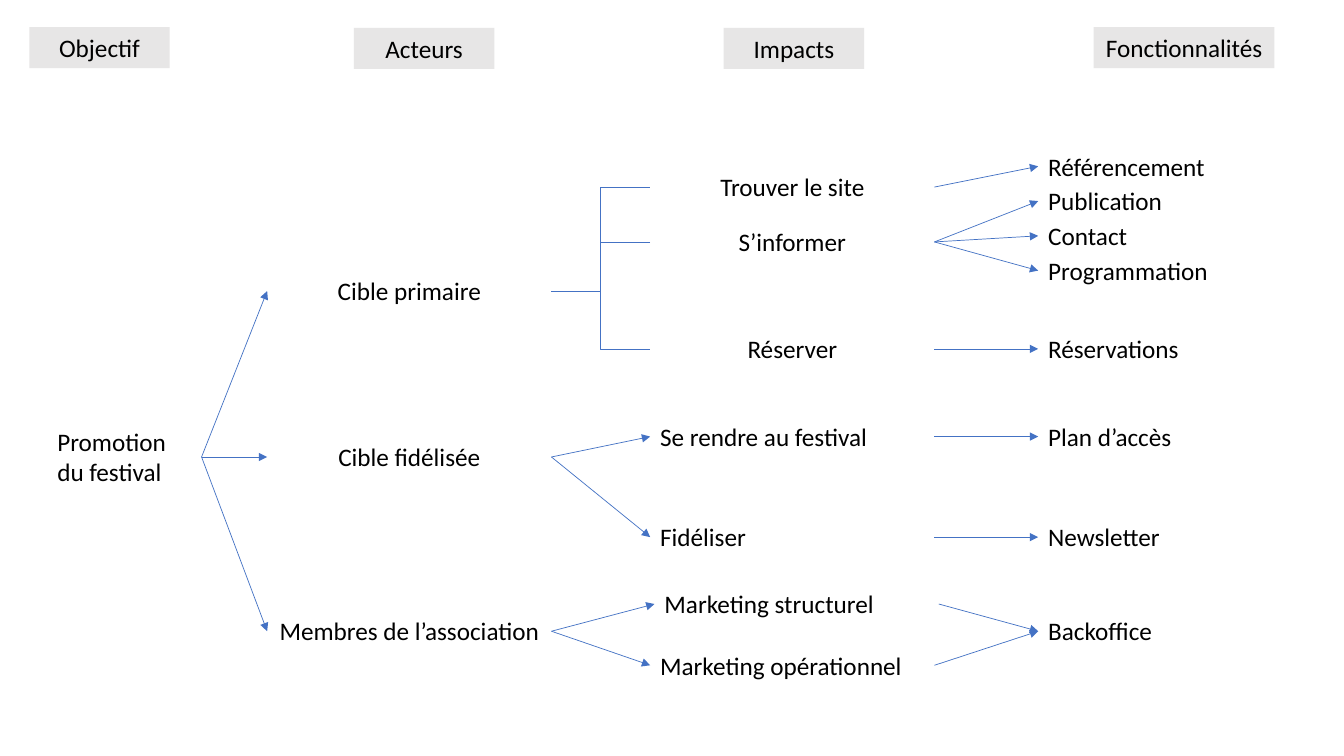
"""Build the impact map of a festival website: goal, actors, impacts, features."""
import dataclasses
import itertools

import pptx
import pptx.dml.color
import pptx.enum.shapes
import pptx.enum.text
import pptx.oxml
import pptx.oxml.ns
import pptx.util

BLACK = pptx.dml.color.RGBColor(0x00, 0x00, 0x00)
GREY = pptx.dml.color.RGBColor(0xE7, 0xE6, 0xE6)
BLUE = pptx.dml.color.RGBColor(0x44, 0x72, 0xC4)
WIDE, HIGH = pptx.util.Inches(13.333), pptx.util.Inches(7.5)
ALIGN = pptx.enum.text.PP_ALIGN
KIND = pptx.enum.shapes.MSO_CONNECTOR
LEFT, RIGHT = 1, 3


@dataclasses.dataclass(frozen=True)
class Column:
    """Left edge and width, in percent of the slide's width."""
    left: float
    width: float = 21.15


@dataclasses.dataclass(frozen=True)
class Node:
    """One label: its column, and its middle and height in percent of the slide's height."""
    text: str
    column: Column
    middle: float
    align: ALIGN = ALIGN.LEFT
    height: float = 5.4
    fill: pptx.dml.color.RGBColor | None = None


@dataclasses.dataclass(frozen=True)
class Link:
    """Lines from one label to several others."""
    source: str
    targets: tuple[str, ...]
    kind: KIND = KIND.STRAIGHT
    arrow: bool = True


GOAL, ACTOR, IMPACT, FEATURE = Column(3.53, 11.47), Column(19.88), Column(48.38), Column(77.25)
SHIFTED = Column(48.7)
MID = ALIGN.CENTER
HEADS = [
    Node("Objectif", Column(2.18, 10.45), 6.3, MID, fill=GREY),
    Node("Acteurs", Column(26.33, 10.45), 6.4, MID, fill=GREY),
    Node("Impacts", Column(53.85, 10.45), 6.4, MID, fill=GREY),
    Node("Fonctionnalités", Column(81.38, 13.45), 6.3, MID, fill=GREY),
]
TOPICS = ("Référencement", "Publication", "Contact", "Programmation")
NODES = [Node(text, FEATURE, 22 + 4.6 * row) for row, text in enumerate(TOPICS)] + [
    Node("Réservations", FEATURE, 46.15),
    Node("Plan d’accès", FEATURE, 57.75),
    Node("Newsletter", FEATURE, 71.05),
    Node("Backoffice", FEATURE, 83.5),
    Node("Trouver le site", IMPACT, 24.75, MID),
    Node("S’informer", IMPACT, 32, MID),
    Node("Réserver", IMPACT, 46.15, MID),
    Node("Se rendre au festival", IMPACT, 57.75),
    Node("Fidéliser", IMPACT, 71.05),
    Node("Marketing structurel", SHIFTED, 79.9),
    Node("Marketing opérationnel", IMPACT, 88),
    Node("Cible primaire", ACTOR, 38.5, MID),
    Node("Cible fidélisée", ACTOR, 60.45, MID),
    Node("Membres de l’association", ACTOR, 83.5, MID),
    Node("Promotion du festival", GOAL, 60.45, ALIGN.JUSTIFY, 9.45),
]
LINKS = [
    Link("Promotion du festival", ("Cible primaire", "Cible fidélisée", "Membres de l’association")),
    Link("Cible primaire", ("Trouver le site", "Réserver"), KIND.ELBOW, False),
    Link("Cible fidélisée", ("Se rendre au festival", "Fidéliser")),
    Link("Membres de l’association", ("Marketing structurel", "Marketing opérationnel")),
    Link("Trouver le site", TOPICS[:1]),
    Link("S’informer", TOPICS[1:]),
    Link("Réserver", ("Réservations",)),
    Link("Se rendre au festival", ("Plan d’accès",)),
    Link("Fidéliser", ("Newsletter",)),
    Link("Marketing structurel", ("Backoffice",)),
    Link("Marketing opérationnel", ("Backoffice",)),
]


def across(share: float) -> int:
    """Turn a percentage of the slide's width into a length."""
    return round(WIDE * share / 100)


def down(share: float) -> int:
    """Turn a percentage of the slide's height into a length."""
    return round(HIGH * share / 100)


def write(shape, node: Node) -> None:
    """Write the label's text into its shape."""
    frame = shape.text_frame
    frame.word_wrap = True
    frame.auto_size = pptx.enum.text.MSO_AUTO_SIZE.SHAPE_TO_FIT_TEXT
    line = frame.paragraphs[0]
    line.alignment = node.align
    run = line.add_run()
    run.text = node.text
    run.font.name, run.font.size = "Calibri", pptx.util.Pt(18)
    run.font.color.rgb = BLACK


def place(shapes, node: Node):
    """Draw a label, as a filled box when it has a fill."""
    area = (across(node.column.left), down(node.middle - node.height / 2),
            across(node.column.width), down(node.height))
    if node.fill is None:
        shape = shapes.add_textbox(*area)
    else:
        shape = shapes.add_shape(pptx.enum.shapes.MSO_SHAPE.RECTANGLE, *area)
        shape.shadow.inherit = False
        shape.fill.solid()
        shape.fill.fore_color.rgb = node.fill
        shape.line.fill.background()
    write(shape, node)
    return shape


def style(wire, arrow: bool) -> None:
    """Give a connector its thin blue line and, if wanted, an arrowhead."""
    wire.line.color.rgb = BLUE
    wire.line.width = pptx.util.Pt(0.5)
    frame = wire.element.spPr
    if arrow:
        tip = pptx.oxml.parse_xml(f'<a:tailEnd {pptx.oxml.ns.nsdecls("a")} type="triangle"/>')
        frame.find(pptx.oxml.ns.qn("a:ln")).append(tip)
    frame.append(pptx.oxml.parse_xml(f'<a:effectLst {pptx.oxml.ns.nsdecls("a")}/>'))


def join(shapes, start, end, link: Link) -> None:
    """Connect the right side of one label to the left side of another."""
    wire = shapes.add_connector(link.kind, start.left + start.width, start.top + start.height // 2,
                                end.left, end.top + end.height // 2)
    wire.begin_connect(start, RIGHT)
    wire.end_connect(end, LEFT)
    style(wire, link.arrow)


def branch(shapes, start, end) -> None:
    """Draw the short line from the middle of a gap to a label."""
    level = end.top + end.height // 2
    centre = (start.left + start.width + end.left) // 2
    wire = shapes.add_connector(KIND.STRAIGHT, end.left, level, centre, level)
    wire.begin_connect(end, LEFT)
    style(wire, False)


def main() -> None:
    """Draw the slide and save it."""
    deck = pptx.Presentation()
    deck.slide_width, deck.slide_height = WIDE, HIGH
    shapes = deck.slides.add_slide(deck.slide_layouts[6]).shapes
    drawn = {node.text: place(shapes, node) for node in itertools.chain(HEADS, NODES)}
    for link in LINKS:
        for target in link.targets:
            join(shapes, drawn[link.source], drawn[target], link)
    branch(shapes, drawn["Cible primaire"], drawn["S’informer"])
    deck.save("out.pptx")


main()
